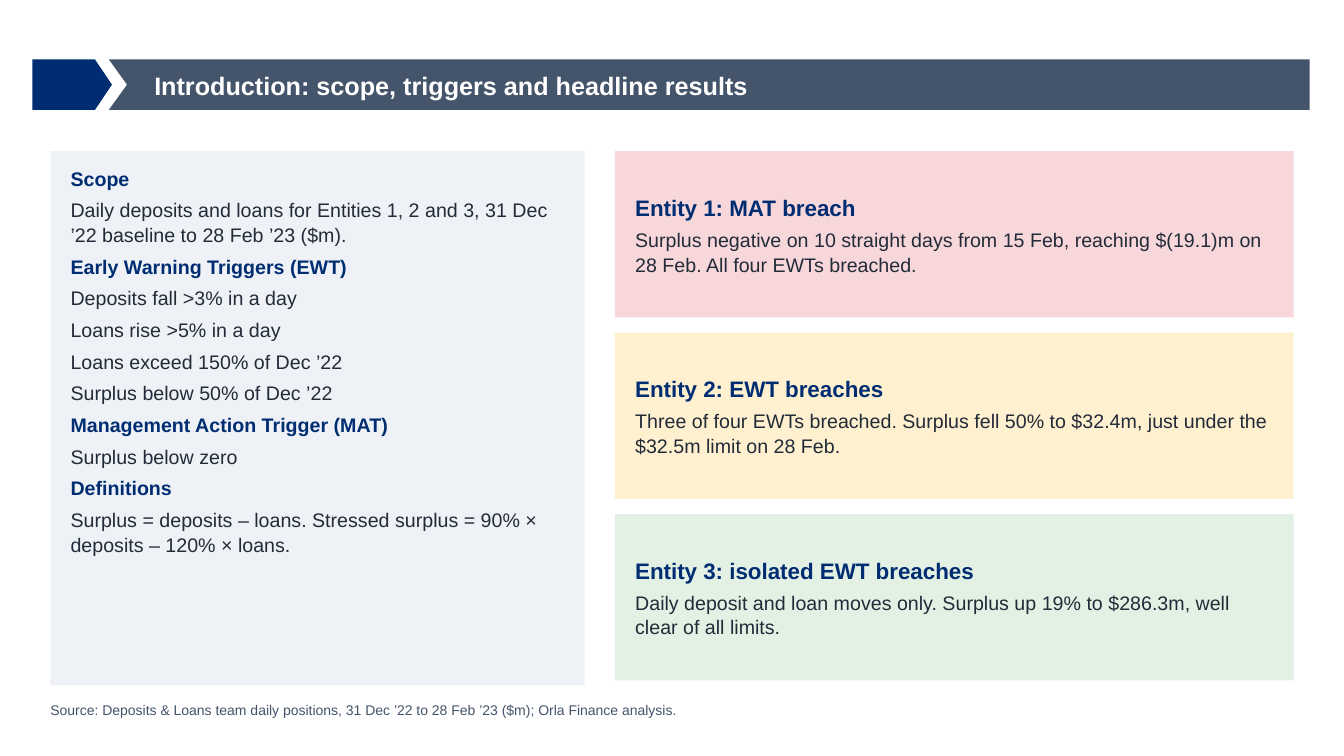
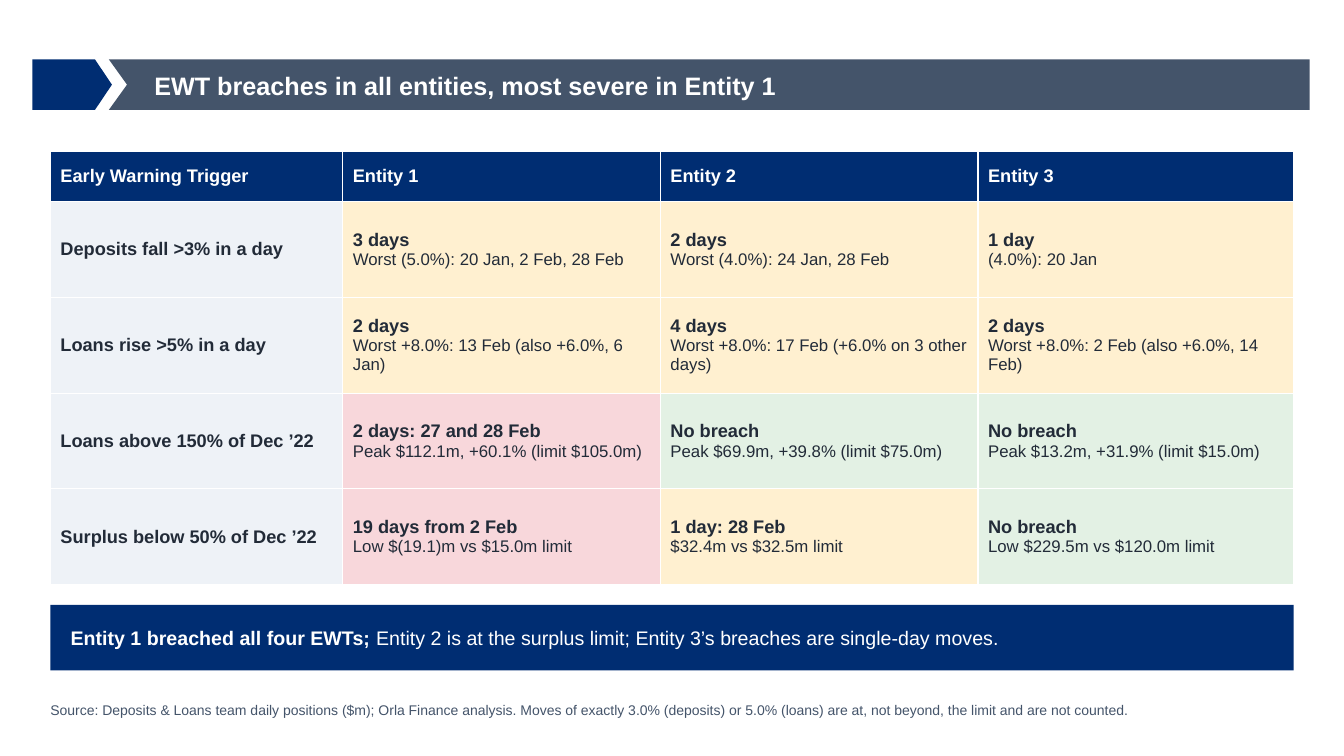
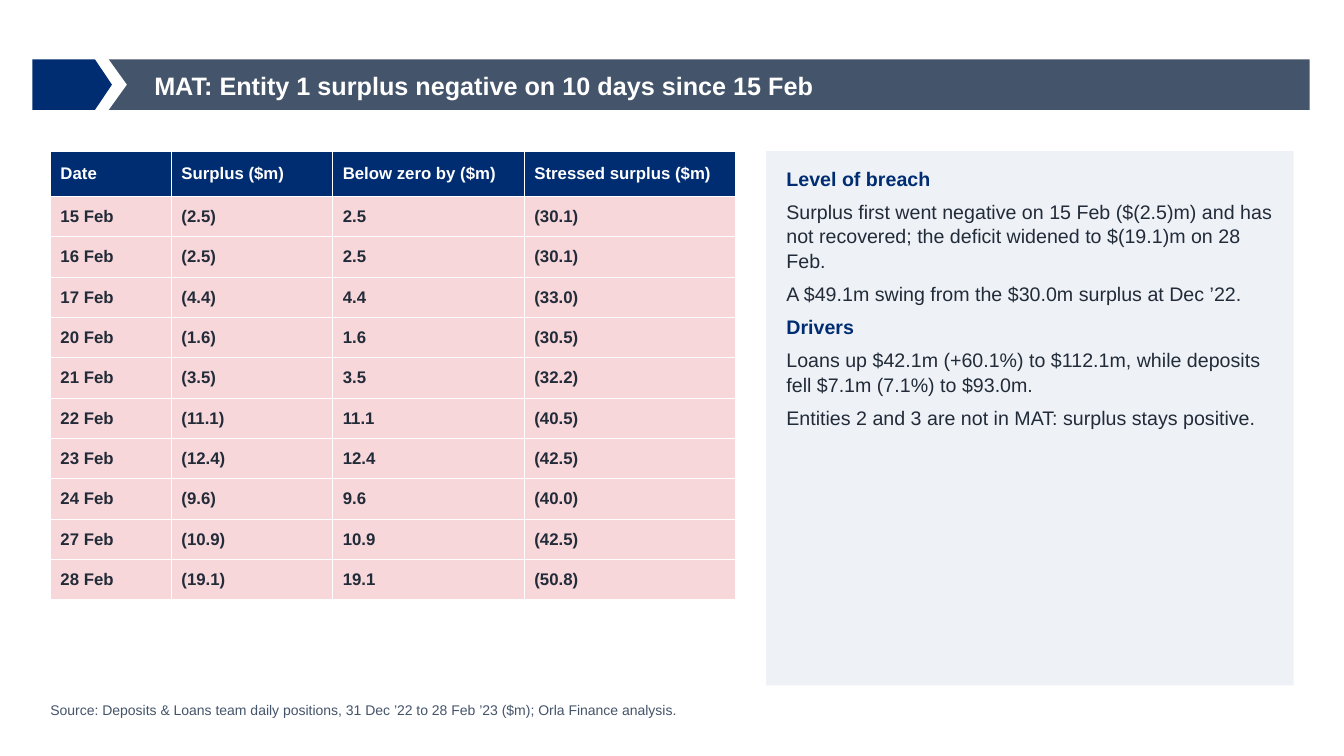
import pptx
import pptx.util
import pptx.dml.color
import pptx.enum.shapes
import pptx.enum.text
import pptx.oxml
import pptx.oxml.ns

Inches = pptx.util.Inches
Anchor = pptx.enum.text.MSO_ANCHOR

COLORS = {
    "navy": "002D72",
    "slate": "44546A",
    "ink": "222B38",
    "white": "FFFFFF",
    "panel": "EEF2F7",
    "breach": "F8D7DB",
    "warning": "FFF0D0",
    "clear": "E3F1E4",
}
FONT = "Arial"
LEFT, TOP, WIDTH = 0.5, 1.5, 12.33
PANEL_HEIGHT = 5.3
POSITIONS_SOURCE = ("Source: Deposits & Loans team daily positions, 31 Dec ’22 to 28 Feb ’23 ($m); "
                    "Orla Finance analysis.")


def color(name):
    return pptx.dml.color.RGBColor.from_string(COLORS[name])


def style(paragraph, size, ink, bold=None, after=None, spacing=None):
    font = paragraph.font
    font.name = FONT
    font.size = pptx.util.Pt(size)
    font.bold = bold
    font.color.rgb = color(ink)
    if after is not None:
        paragraph.space_after = pptx.util.Pt(after)
    if spacing is not None:
        paragraph.line_spacing = spacing
    paragraph.alignment = pptx.enum.text.PP_ALIGN.LEFT


def set_frame(frame, anchor, inset_x=0, inset_y=0):
    frame.word_wrap = True
    frame.auto_size = pptx.enum.text.MSO_AUTO_SIZE.NONE
    frame.vertical_anchor = anchor
    frame.margin_left = frame.margin_right = Inches(inset_x)
    frame.margin_top = frame.margin_bottom = Inches(inset_y)


def paint(shape, fill):
    shape.shadow.inherit = False
    shape.fill.solid()
    shape.fill.fore_color.rgb = color(fill)
    shape.line.fill.background()


def add_paragraph(frame, text):
    first = frame.paragraphs[0]
    paragraph = first if not first.runs else frame.add_paragraph()
    paragraph.add_run().text = text
    return paragraph


def add_block(slide, box, fill, anchor=Anchor.TOP):
    block = slide.shapes.add_shape(pptx.enum.shapes.MSO_SHAPE.RECTANGLE, *map(Inches, box))
    paint(block, fill)
    set_frame(block.text_frame, anchor, 0.2, 0.14)
    return block.text_frame


def add_title_band(layout, slide):
    left, top, width, height = 0.32, 0.59, 0.79, 0.5
    tab = slide.shapes.add_shape(pptx.enum.shapes.MSO_SHAPE.PENTAGON,
                                 *map(Inches, (left, top, width, height)))
    tab.adjustments[0] = 0.336
    paint(tab, "navy")
    start, notch, end = 1.08, 1.26, 12.99
    outline = slide.shapes.build_freeform(Inches(start), Inches(top))
    outline.add_line_segments([
        (Inches(x), Inches(y)) for x, y in
        [(end, top), (end, top + height), (start, top + height), (notch, top + height / 2)]
    ])
    band = outline.convert_to_shape()
    paint(band, "slate")
    for position, part in enumerate((tab, band), start=2):
        layout.shapes.element.insert(position, part.element)


def add_frame(slide, title, source):
    heading = slide.shapes.title
    heading.left, heading.top, heading.width, heading.height = map(Inches, (1.53, 0.61, 10.48, 0.47))
    set_frame(heading.text_frame, Anchor.MIDDLE)
    style(add_paragraph(heading.text_frame, title), 18, "white", True)
    footer = slide.shapes.add_textbox(*map(Inches, (LEFT, 6.95, 12.3, 0.3))).text_frame
    set_frame(footer, Anchor.TOP)
    style(add_paragraph(footer, source), 10, "slate", after=8, spacing=1.05)


def add_panel(slide, box, sections, after):
    frame = add_block(slide, box, "panel")
    for heading, lines in sections:
        style(add_paragraph(frame, heading), 14, "navy", True, after, 1.05)
        for line in lines:
            style(add_paragraph(frame, line), 14, "ink", False, after, 1.05)


def add_entity_cards(slide, box, cards, gap=0.15):
    left, top, width, height = box
    card_height = (height - gap * (len(cards) - 1)) / len(cards)
    for index, (status, heading, detail) in enumerate(cards):
        card_top = top + index * (card_height + gap)
        frame = add_block(slide, (left, card_top, width, card_height), status, Anchor.MIDDLE)
        style(add_paragraph(frame, heading), 16, "navy", True, 4, 1.05)
        style(add_paragraph(frame, detail), 14, "ink", False, 4, 1.05)


def add_banner(slide, box, lead, rest):
    frame = add_block(slide, box, "navy", Anchor.MIDDLE)
    message = add_paragraph(frame, lead)
    message.runs[0].font.bold = True
    message.add_run().text = rest
    style(message, 14, "white", after=8, spacing=1.05)


def add_borders(cell):
    properties = cell._tc.get_or_add_tcPr()
    for position, side in enumerate(("lnL", "lnR", "lnT", "lnB")):
        properties.insert(position, pptx.oxml.parse_xml(
            f'<a:{side} {pptx.oxml.ns.nsdecls("a")} w="12700"><a:solidFill>'
            f'<a:srgbClr val="{COLORS["white"]}"/></a:solidFill></a:{side}>'))


def fill_cell(cell, fill, ink, size, lines):
    cell.fill.solid()
    cell.fill.fore_color.rgb = color(fill)
    add_borders(cell)
    cell.vertical_anchor = Anchor.MIDDLE
    cell.margin_left = cell.margin_right = Inches(0.1)
    cell.margin_top = cell.margin_bottom = Inches(0.04)
    for index, line in enumerate(lines):
        style(add_paragraph(cell.text_frame, line), size - index, ink, index == 0)


def add_grid(slide, left, top, widths, header_height, row_height, size, header, rows):
    heights = [header_height] + [row_height] * len(rows)
    table = slide.shapes.add_table(len(heights), len(widths), *map(
        Inches, (left, top, sum(widths), sum(heights)))).table
    table.horz_banding = False
    for column, width in zip(table.columns, widths):
        column.width = Inches(width)
    for row, height in zip(table.rows, heights):
        row.height = Inches(height)
    for column, label in enumerate(header):
        fill_cell(table.cell(0, column), "navy", "white", size, [label])
    for row, entries in enumerate(rows, start=1):
        for column, (fill, *lines) in enumerate(entries):
            fill_cell(table.cell(row, column), fill, "ink", size, lines)


def build_introduction(slide):
    add_frame(slide, "Introduction: scope, triggers and headline results", POSITIONS_SOURCE)
    add_panel(slide, (LEFT, TOP, 5.3, PANEL_HEIGHT), [
        ("Scope", ["Daily deposits and loans for Entities 1, 2 and 3, 31 Dec ’22 baseline to 28 Feb ’23 ($m)."]),
        ("Early Warning Triggers (EWT)", [
            "Deposits fall >3% in a day",
            "Loans rise >5% in a day",
            "Loans exceed 150% of Dec ’22",
            "Surplus below 50% of Dec ’22",
        ]),
        ("Management Action Trigger (MAT)", ["Surplus below zero"]),
        ("Definitions", ["Surplus = deposits – loans. Stressed surplus = 90% × deposits – 120% × loans."]),
    ], after=5)
    add_entity_cards(slide, (6.1, TOP, 6.73, 5.25), [
        ("breach", "Entity 1: MAT breach",
         "Surplus negative on 10 straight days from 15 Feb, reaching $(19.1)m on 28 Feb. All four EWTs breached."),
        ("warning", "Entity 2: EWT breaches",
         "Three of four EWTs breached. Surplus fell 50% to $32.4m, just under the $32.5m limit on 28 Feb."),
        ("clear", "Entity 3: isolated EWT breaches",
         "Daily deposit and loan moves only. Surplus up 19% to $286.3m, well clear of all limits."),
    ])


def build_warning_triggers(slide):
    add_frame(slide, "EWT breaches in all entities, most severe in Entity 1",
              "Source: Deposits & Loans team daily positions ($m); Orla Finance analysis. Moves of exactly "
              "3.0% (deposits) or 5.0% (loans) are at, not beyond, the limit and are not counted.")
    add_grid(slide, LEFT, TOP, [2.9, 3.15, 3.15, 3.13], 0.5, 0.95, 13,
             ["Early Warning Trigger", "Entity 1", "Entity 2", "Entity 3"], [
        [("panel", "Deposits fall >3% in a day"),
         ("warning", "3 days", "Worst (5.0%): 20 Jan, 2 Feb, 28 Feb"),
         ("warning", "2 days", "Worst (4.0%): 24 Jan, 28 Feb"),
         ("warning", "1 day", "(4.0%): 20 Jan")],
        [("panel", "Loans rise >5% in a day"),
         ("warning", "2 days", "Worst +8.0%: 13 Feb (also +6.0%, 6 Jan)"),
         ("warning", "4 days", "Worst +8.0%: 17 Feb (+6.0% on 3 other days)"),
         ("warning", "2 days", "Worst +8.0%: 2 Feb (also +6.0%, 14 Feb)")],
        [("panel", "Loans above 150% of Dec ’22"),
         ("breach", "2 days: 27 and 28 Feb", "Peak $112.1m, +60.1% (limit $105.0m)"),
         ("clear", "No breach", "Peak $69.9m, +39.8% (limit $75.0m)"),
         ("clear", "No breach", "Peak $13.2m, +31.9% (limit $15.0m)")],
        [("panel", "Surplus below 50% of Dec ’22"),
         ("breach", "19 days from 2 Feb", "Low $(19.1)m vs $15.0m limit"),
         ("warning", "1 day: 28 Feb", "$32.4m vs $32.5m limit"),
         ("clear", "No breach", "Low $229.5m vs $120.0m limit")],
    ])
    add_banner(slide, (LEFT, 6, WIDTH, 0.65), "Entity 1 breached all four EWTs; ",
               "Entity 2 is at the surplus limit; Entity 3’s breaches are single-day moves.")


def build_action_trigger(slide):
    add_frame(slide, "MAT: Entity 1 surplus negative on 10 days since 15 Feb", POSITIONS_SOURCE)
    deficits = [
        ("15 Feb", 2.5, 30.1), ("16 Feb", 2.5, 30.1), ("17 Feb", 4.4, 33.0), ("20 Feb", 1.6, 30.5),
        ("21 Feb", 3.5, 32.2), ("22 Feb", 11.1, 40.5), ("23 Feb", 12.4, 42.5), ("24 Feb", 9.6, 40.0),
        ("27 Feb", 10.9, 42.5), ("28 Feb", 19.1, 50.8),
    ]
    rows = [
        [("breach", text) for text in (day, f"({deficit:.1f})", f"{deficit:.1f}", f"({stressed:.1f})")]
        for day, deficit, stressed in deficits
    ]
    add_grid(slide, LEFT, TOP, [1.2, 1.6, 1.9, 2.1], 0.45, 0.4, 12,
             ["Date", "Surplus ($m)", "Below zero by ($m)", "Stressed surplus ($m)"], rows)
    add_panel(slide, (7.6, TOP, 5.23, PANEL_HEIGHT), [
        ("Level of breach", [
            "Surplus first went negative on 15 Feb ($(2.5)m) and has not recovered; "
            "the deficit widened to $(19.1)m on 28 Feb.",
            "A $49.1m swing from the $30.0m surplus at Dec ’22.",
        ]),
        ("Drivers", [
            "Loans up $42.1m (+60.1%) to $112.1m, while deposits fell $7.1m (7.1%) to $93.0m.",
            "Entities 2 and 3 are not in MAT: surplus stays positive.",
        ]),
    ], after=6)


def main():
    deck = pptx.Presentation()
    deck.slide_width, deck.slide_height = Inches(13.33), Inches(7.5)
    layout = deck.slide_layouts.get_by_name("Title Only")
    builders = (build_introduction, build_warning_triggers, build_action_trigger)
    slides = [deck.slides.add_slide(layout) for _ in builders]
    add_title_band(layout, slides[0])
    for build, slide in zip(builders, slides):
        build(slide)
    deck.save("out.pptx")


if __name__ == "__main__":
    main()
